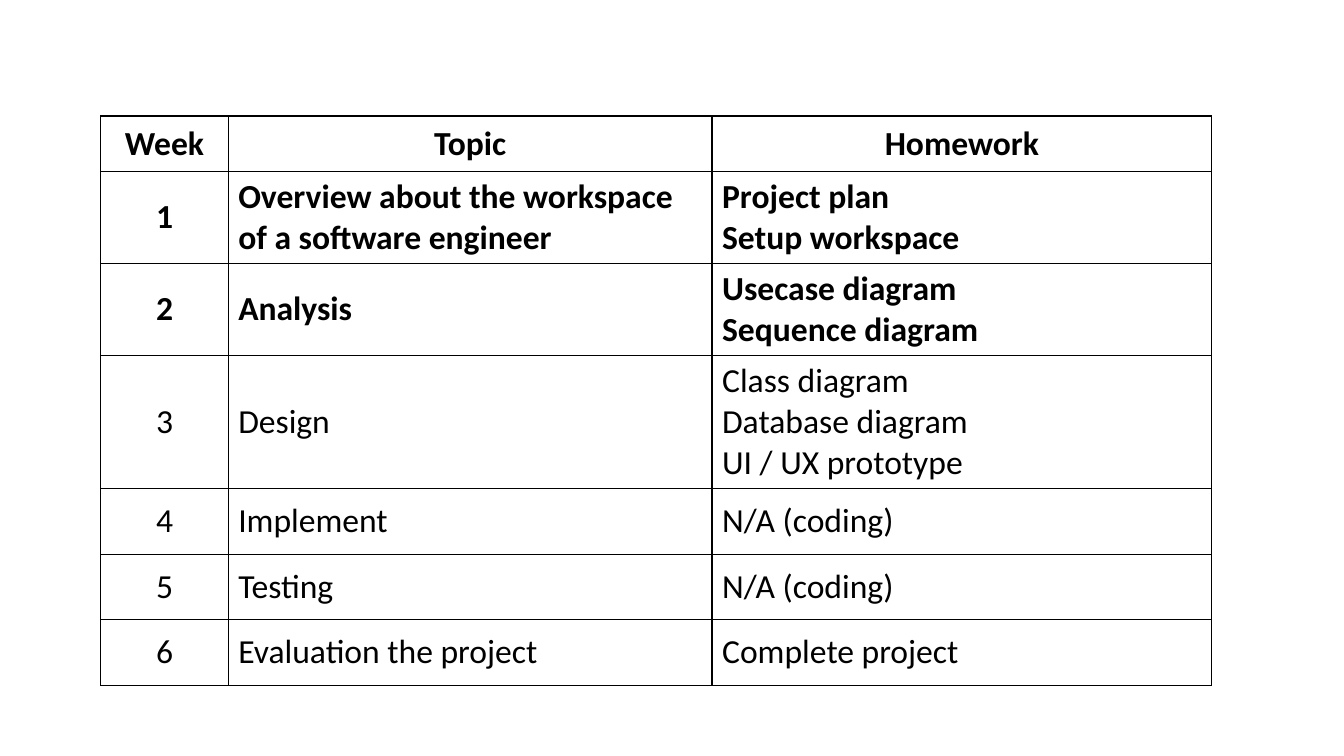
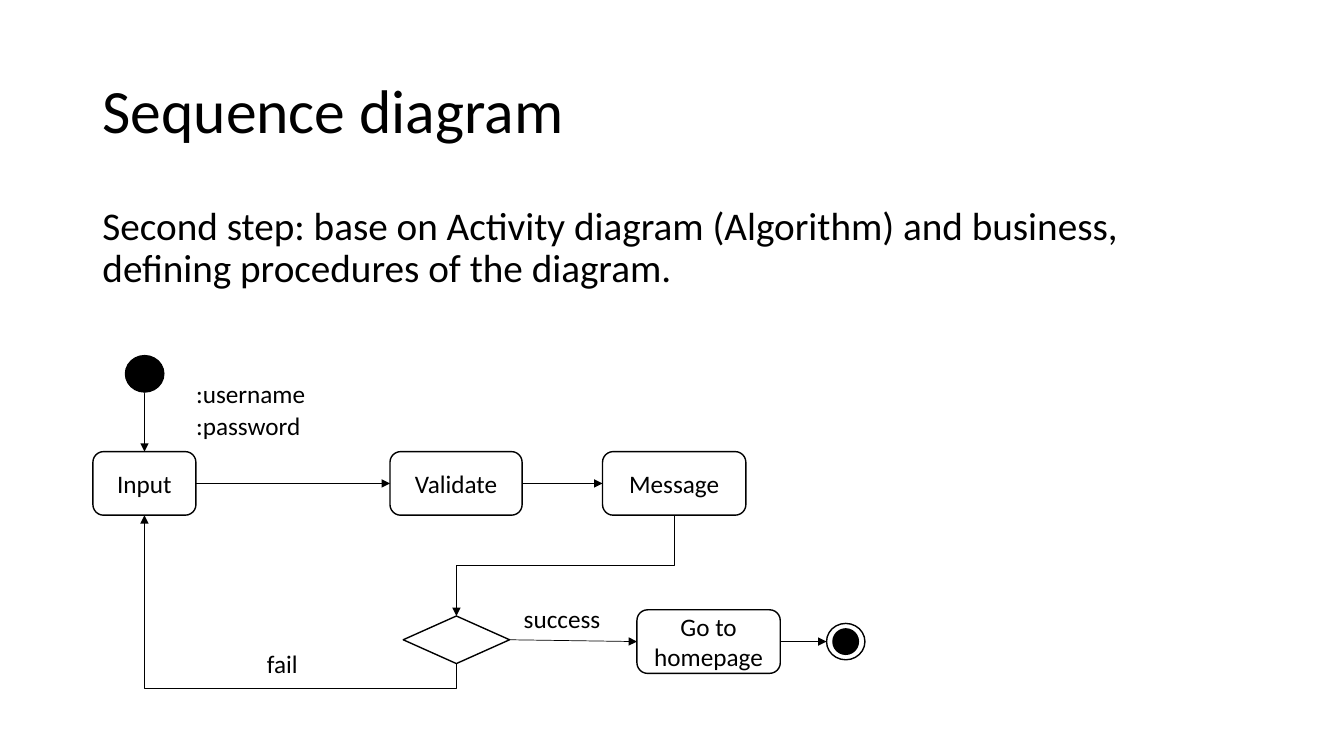
"""Build a course schedule table and a sequence diagram slide."""
import lxml.etree
import pptx
import pptx.dml.color
import pptx.enum.shapes
import pptx.enum.text
import pptx.oxml.ns
import pptx.util

Pt = pptx.util.Pt
RGBColor = pptx.dml.color.RGBColor
Shape = pptx.enum.shapes.MSO_SHAPE
Connector = pptx.enum.shapes.MSO_CONNECTOR
Align = pptx.enum.text.PP_ALIGN
Anchor = pptx.enum.text.MSO_ANCHOR
AutoSize = pptx.enum.text.MSO_AUTO_SIZE
qn = pptx.oxml.ns.qn

BLACK = RGBColor(0, 0, 0)
WHITE = RGBColor(255, 255, 255)
TOP, LEFT, BOTTOM, RIGHT = range(4)

SCHEDULE = [
    ("Week", "Topic", "Homework"),
    ("1", "Overview about the workspace of a software engineer", "Project plan\nSetup workspace"),
    ("2", "Analysis", "Usecase diagram\nSequence diagram"),
    ("3", "Design", "Class diagram\nDatabase diagram\nUI / UX prototype"),
    ("4", "Implement", "N/A (coding)"),
    ("5", "Testing", "N/A (coding)"),
    ("6", "Evaluation the project", "Complete project"),
]


class Deck:
    """Hold the shared style and the current slide."""

    font_name = "Calibri"
    outline = 1
    arrow_width = 0.5

    def __init__(self):
        self.presentation = pptx.Presentation()
        self.presentation.slide_width = Pt(960)
        self.presentation.slide_height = Pt(540)
        self.slide = None

    def add_slide(self, layout):
        self.slide = self.presentation.slides.add_slide(self.presentation.slide_layouts[layout])

    def style(self, paragraph, size, align=Align.LEFT, bold=False):
        paragraph.alignment = align
        paragraph.font.name = self.font_name
        paragraph.font.size = Pt(size)
        paragraph.font.bold = bold
        paragraph.font.color.rgb = BLACK

    def placeholder(self, index, text, top, height, size, anchor):
        shape = self.slide.placeholders[index]
        shape.left, shape.top, shape.width, shape.height = Pt(66), Pt(top), Pt(828), Pt(height)
        frame = shape.text_frame
        frame.text = text
        frame.auto_size = AutoSize.NONE
        frame.vertical_anchor = anchor
        paragraph = frame.paragraphs[0]
        properties = paragraph._p.get_or_add_pPr()
        properties.set("marL", "0")
        properties.set("indent", "0")
        lxml.etree.SubElement(properties, qn("a:buNone"))
        paragraph.line_spacing = 0.9
        paragraph.space_before = Pt(0)
        self.style(paragraph, size)

    def border(self, cell):
        properties = cell._tc.get_or_add_tcPr()
        for side in "LRTB":
            line = lxml.etree.SubElement(properties, qn(f"a:ln{side}"), w=str(Pt(self.outline)))
            fill = lxml.etree.SubElement(line, qn("a:solidFill"))
            lxml.etree.SubElement(fill, qn("a:srgbClr"), val=str(BLACK))

    def table(self, rows, left, top, widths, heights, bold_rows):
        table = self.slide.shapes.add_table(
            len(rows), len(widths), Pt(left), Pt(top), Pt(sum(widths)), Pt(sum(heights))).table
        table.first_row = table.horz_banding = False
        for column, width in zip(table.columns, widths):
            column.width = Pt(width)
        for row, height in zip(table.rows, heights):
            row.height = Pt(height)
        for row_index, texts in enumerate(rows):
            for column_index, text in enumerate(texts):
                cell = table.cell(row_index, column_index)
                cell.text = text
                cell.vertical_anchor = Anchor.MIDDLE
                self.border(cell)
                cell.fill.solid()
                cell.fill.fore_color.rgb = WHITE
                centred = row_index == 0 or column_index == 0
                for paragraph in cell.text_frame.paragraphs:
                    self.style(paragraph, 24, Align.CENTER if centred else Align.LEFT,
                               row_index < bold_rows)

    def node(self, kind, left, top, width, height, text="", fill=WHITE):
        shape = self.slide.shapes.add_shape(kind, Pt(left), Pt(top), Pt(width), Pt(height))
        shape.shadow.inherit = False
        shape.fill.solid()
        shape.fill.fore_color.rgb = fill
        shape.line.color.rgb = BLACK
        shape.line.width = Pt(self.outline)
        if text:
            shape.text_frame.text = text
            shape.text_frame.vertical_anchor = Anchor.MIDDLE
            self.style(shape.text_frame.paragraphs[0], 18, Align.CENTER)
        return shape

    def step(self, text, left, top, width):
        return self.node(Shape.ROUNDED_RECTANGLE, left, top, width, 45.4, text)

    def label(self, text, left, top, width):
        shape = self.slide.shapes.add_textbox(Pt(left), Pt(top), Pt(width), Pt(29))
        shape.fill.solid()
        shape.fill.fore_color.rgb = WHITE
        shape.text_frame.word_wrap = True
        shape.text_frame.text = text
        self.style(shape.text_frame.paragraphs[0], 18)

    def arrow(self, start, start_site, end, end_site, bend=None):
        kind = Connector.STRAIGHT if bend is None else Connector.ELBOW
        connector = self.slide.shapes.add_connector(kind, 0, 0, 0, 0)
        connector.begin_connect(start, start_site)
        connector.end_connect(end, end_site)
        ends = connector._element.nvCxnSpPr.cNvCxnSpPr
        for shape, glue in ((start, ends.stCxn), (end, ends.endCxn)):
            if shape.auto_shape_type == Shape.OVAL:
                glue.idx *= 2
        connector.line.color.rgb = BLACK
        connector.line.width = Pt(self.arrow_width)
        properties = connector._element.spPr
        lxml.etree.SubElement(properties.find(qn("a:ln")), qn("a:tailEnd"), type="triangle")
        lxml.etree.SubElement(properties, qn("a:effectLst"))
        if bend is not None:
            self.turn_down(connector, bend)

    def turn_down(self, connector, bend):
        begin_x, begin_y = connector.begin_x, connector.begin_y
        end_x, end_y = connector.end_x, connector.end_y
        width, height = abs(end_y - begin_y), abs(end_x - begin_x)
        connector.left = (begin_x + end_x - width) // 2
        connector.top = (begin_y + end_y - height) // 2
        connector.width, connector.height = width, height
        frame = connector._element.spPr.find(qn("a:xfrm"))
        frame.set("rot", str(90 * 60000))
        frame.set("flipH", str(int(end_y < begin_y)))
        frame.set("flipV", "0")
        adjustments = connector._element.spPr.find(qn("a:prstGeom")).find(qn("a:avLst"))
        lxml.etree.SubElement(adjustments, qn("a:gd"), name="adj1",
                              fmla=f"val {round(bend * 100000)}")


def build_schedule(deck):
    deck.add_slide(6)
    deck.table(SCHEDULE, 72, 82.8, (91, 345.6, 357), (39.6, 51) + (46.8,) * 5, bold_rows=3)


def build_diagram(deck):
    deck.add_slide(1)
    deck.placeholder(0, "Sequence diagram", 28.8, 104.4, 44, Anchor.MIDDLE)
    deck.placeholder(1, "Second step: base on Activity diagram (Algorithm) and business, "
                     "defining procedures of the diagram.", 144, 342.7, 28, Anchor.TOP)

    for text, left, top, width in ((":username", 133, 267, 127), (":password", 133, 289.6, 127),
                                   ("success", 367, 427.7, 76), ("fail", 183.6, 459.4, 76)):
        deck.label(text, left, top, width)

    first_row = 322.6
    start = deck.node(Shape.OVAL, 89.6, 254, 27.4, 26, fill=BLACK)
    enter = deck.step("Input", 66.4, first_row, 73.6)
    validate = deck.step("Validate", 278.6, first_row, 94.4)
    message = deck.step("Message", 430.4, first_row, 102.4)
    decision = deck.node(Shape.FLOWCHART_DECISION, 288, 440, 76, 34)
    homepage = deck.step("Go to homepage", 455, 435.6, 102.4)
    finish = deck.node(Shape.OVAL, 590.4, 445.3, 27.4, 26)
    deck.node(Shape.OVAL, 595, 449.2, 18.2, 18.2, fill=BLACK)

    deck.arrow(start, BOTTOM, enter, TOP)
    deck.arrow(enter, RIGHT, validate, LEFT)
    deck.arrow(validate, RIGHT, message, LEFT)
    deck.arrow(message, BOTTOM, decision, TOP, bend=0.5)
    deck.arrow(decision, BOTTOM, enter, BOTTOM, bend=-0.17)
    deck.arrow(decision, RIGHT, homepage, LEFT)
    deck.arrow(homepage, RIGHT, finish, LEFT)


def main():
    deck = Deck()
    build_schedule(deck)
    build_diagram(deck)
    deck.presentation.save("out.pptx")


if __name__ == "__main__":
    main()
